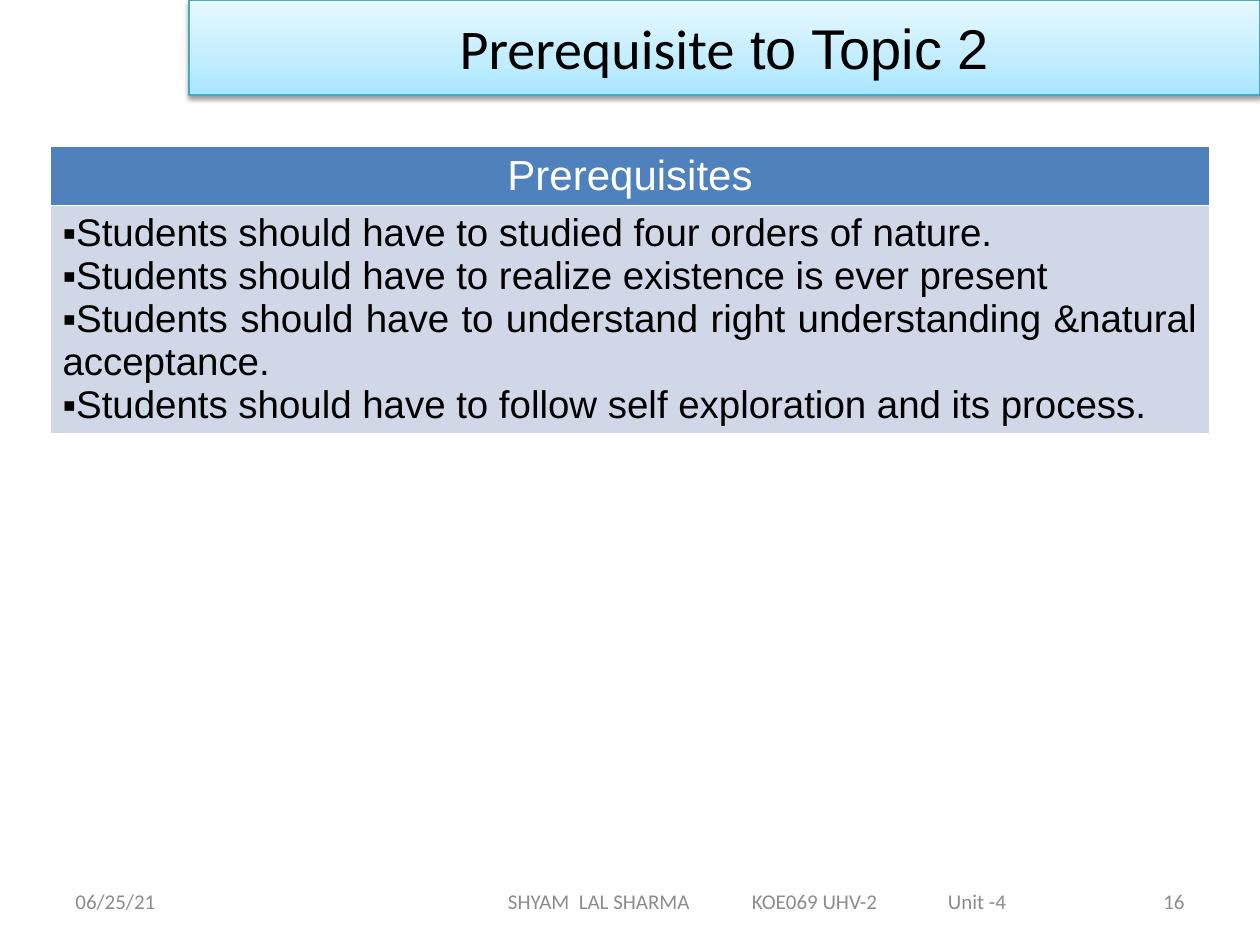
from copy import deepcopy

from pptx import Presentation
from pptx import util as u
from pptx.dml.color import RGBColor
from pptx.enum import shapes, text
from pptx.oxml import parse_xml
from pptx.oxml.ns import nsdecls, qn

PX = 914400 / 126  # EMU in one px
BLACK = RGBColor(0, 0, 0)
WHITE = RGBColor(0xFF, 0xFF, 0xFF)
GREY = RGBColor(0x8C, 0x8C, 0x8C)
TEAL = RGBColor(0x46, 0xAA, 0xC5)
BLUE = RGBColor(0x4F, 0x81, 0xBD)
PALE = RGBColor(0xD0, 0xD8, 0xE8)
SKY = [(0, RGBColor(0xA7, 0xE6, 0xFF)),
       (0.35, RGBColor(0xC1, 0xED, 0xFF)),
       (1, RGBColor(0xE7, 0xF8, 0xFF))]

NEEDS = [
    "Students should have to studied four orders of nature.",
    "Students should have to realize existence is ever present",
    "Students should have to understand right understanding &natural acceptance.",
    "Students should have to follow self exploration and its process.",
]


def px(*nums):
    return [u.Emu(round(n * PX)) for n in nums]


def xml(body):
    head, tail = body.split(">", 1) if not body.endswith("/>") else (body[:-2], None)
    return parse_xml(f"{head} {nsdecls('a')}" + ("/>" if tail is None else ">" + tail))


def write(frame, lines, size, color, font="Arial", align=text.PP_ALIGN.LEFT,
          bullet=None, tabs=()):
    """Fill a frame; each line is a string or a list of (words, font) runs."""
    frame.word_wrap = True
    for i, line in enumerate(lines):
        para = frame.paragraphs[0] if i == 0 else frame.add_paragraph()
        para.alignment = align
        props = para._p.get_or_add_pPr()
        if bullet:
            props.set("marL", "0")
            props.set("indent", "0")
            props.append(xml('<a:buFont typeface="Arial"/>'))
            props.append(xml(f'<a:buChar char="{bullet}"/>'))
        if tabs:
            stops = "".join(f'<a:tab pos="{t}" algn="l"/>' for t in px(*tabs))
            props.append(xml(f"<a:tabLst>{stops}</a:tabLst>"))
        for words, face in [(line, font)] if isinstance(line, str) else line:
            run = para.add_run()
            run.text = words
            run.font.name = face
            run.font.size = u.Pt(size)
            run.font.color.rgb = color


def banner(slide, box, runs):
    shape = slide.shapes.add_shape(shapes.MSO_SHAPE.RECTANGLE, *px(*box))
    shape.shadow.inherit = False
    shape.line.color.rgb = TEAL
    shape.line.width = u.Pt(0.75)

    # Three-stop gradient, running upwards
    shape.fill.gradient()
    shape.fill.gradient_angle = 90
    props = shape._element.spPr
    stops = props.find(qn("a:gradFill")).find(qn("a:gsLst"))
    stops.append(deepcopy(stops[-1]))
    for stop, (pos, color) in zip(shape.fill.gradient_stops, SKY):
        stop.position = pos
        stop.color.rgb = color

    # Soft shadow below
    props.find(qn("a:effectLst")).append(xml(
        f'<a:outerShdw blurRad="{u.Pt(3.1)}" dist="{u.Pt(1.6)}" dir="5400000" '
        'rotWithShape="0"><a:srgbClr val="000000"><a:alpha val="38000"/>'
        "</a:srgbClr></a:outerShdw>"))
    shape.text_frame.vertical_anchor = text.MSO_ANCHOR.MIDDLE
    write(shape.text_frame, [runs], 32, BLACK, align=text.PP_ALIGN.CENTER)


def footer(slide, box, words, inset=None, **form):
    frame = slide.shapes.add_textbox(*px(*box)).text_frame
    frame.vertical_anchor = text.MSO_ANCHOR.MIDDLE
    if inset:
        frame.margin_left = px(inset)[0]
    write(frame, [words], 12, GREY, font="Calibri", **form)


def paint(cell, color):
    """Give a cell white borders and a plain fill."""
    props = cell._tc.get_or_add_tcPr()
    for side in "LRTB":
        props.append(xml(
            f'<a:ln{side} w="12700"><a:solidFill><a:srgbClr val="{WHITE}"/>'
            f"</a:solidFill></a:ln{side}>"))
    cell.fill.solid()
    cell.fill.fore_color.rgb = color


def grid(slide, left, top, width, rows):
    heights = px(*rows)
    table = slide.shapes.add_table(
        len(rows), 1, *px(left, top, width), sum(heights)).table
    for row, height, color in zip(table.rows, heights, (BLUE, PALE)):
        row.height = height
        paint(row.cells[0], color)
    head, body = (row.cells[0].text_frame for row in table.rows)
    write(head, ["Prerequisites"], 24, WHITE, align=text.PP_ALIGN.CENTER)
    write(body, NEEDS, 22, BLACK, align=text.PP_ALIGN.JUSTIFY, bullet="▪")


def main():
    deck = Presentation()
    deck.slide_width, deck.slide_height = px(1260, 945)
    slide = deck.slides.add_slide(deck.slide_layouts[6])

    # Title
    banner(slide, (189, 0, 1071, 95),
           [("Prerequisite", "Calibri"), (" to Topic 2", "Arial")])

    # Prerequisites table
    grid(slide, 50, 146, 1160, (58, 228))

    # Footer: date, course line, slide number
    footer(slide, (63, 876, 294, 50), "06/25/21")
    footer(slide, (393, 876, 728, 50),
           "SHYAM  LAL SHARMA\tKOE069 UHV-2\tUnit -4", inset=115, tabs=(244, 440))
    footer(slide, (903, 876, 294, 50), "16", align=text.PP_ALIGN.RIGHT)

    deck.save("out.pptx")


if __name__ == "__main__":
    main()
